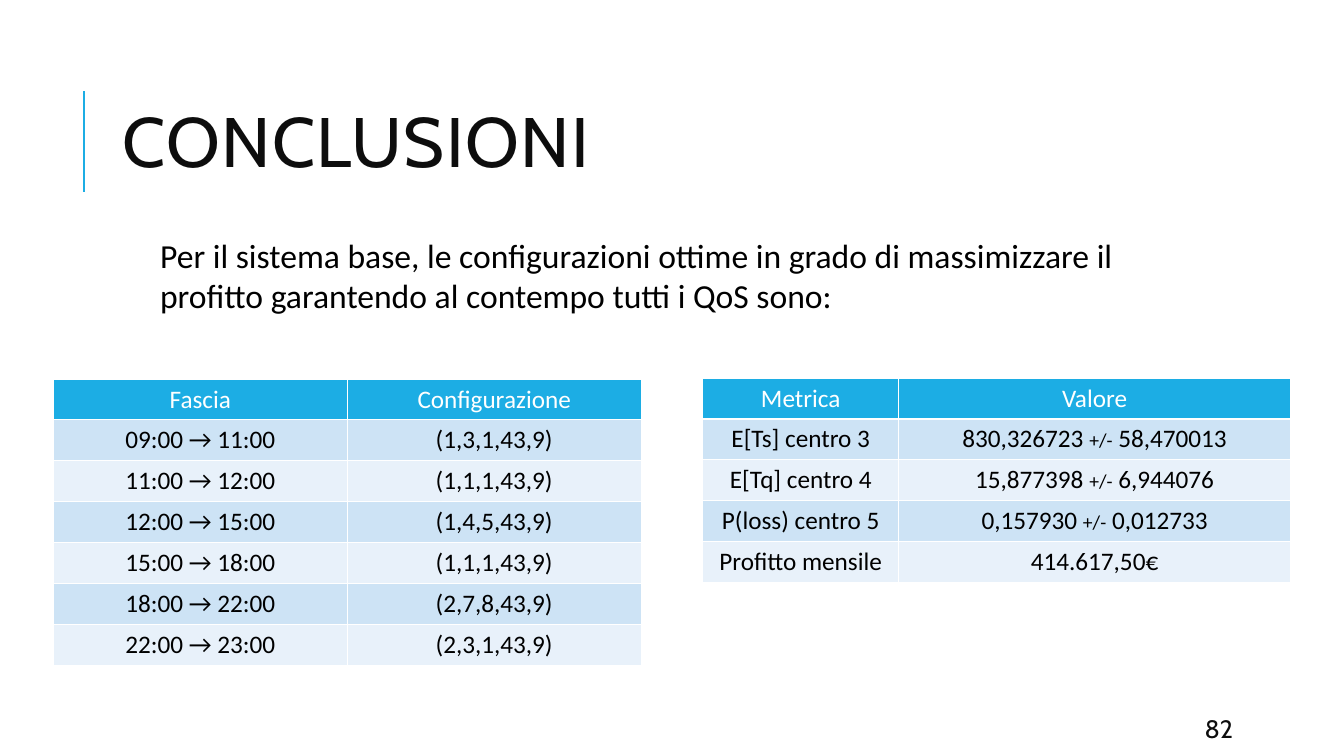
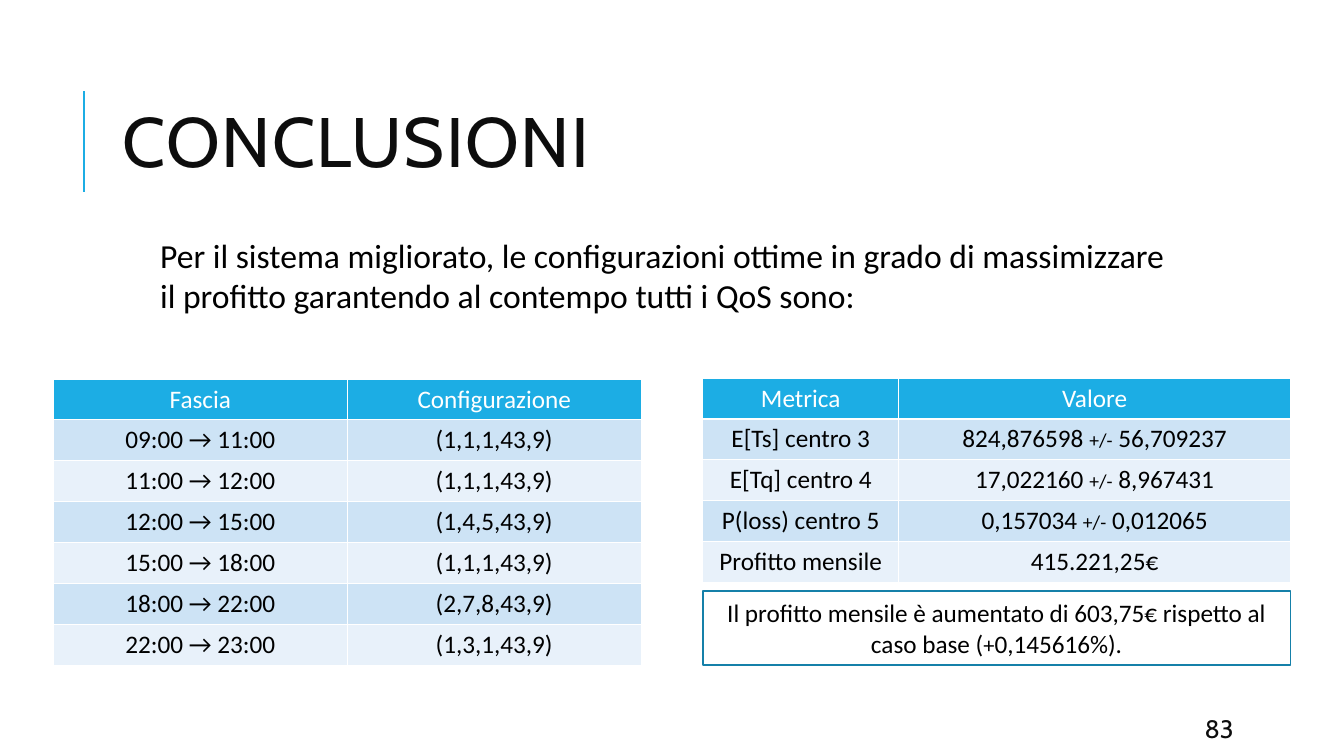
import lxml.etree
import pptx
import pptx.dml.color
import pptx.enum.shapes
import pptx.enum.text
import pptx.oxml.ns
import pptx.util

Inches = pptx.util.Inches
Pt = pptx.util.Pt
ALIGN = pptx.enum.text.PP_ALIGN
ANCHOR = pptx.enum.text.MSO_ANCHOR
qn = pptx.oxml.ns.qn

# Shared style
BLUE, EDGE, WHITE, BLACK, INK = "1CADE4", "1580A9", "FFFFFF", "000000", "0D0D0D"
BANDS = ("CDE3F5", "E8F1FA")
BODY, HEAD = "Calibri", "Cabin"
WIDE = 5.83
RIGHT = 6.97

# Content
HOURS = ("09:00 → 11:00", "11:00 → 12:00", "12:00 → 15:00",
         "15:00 → 18:00", "18:00 → 22:00", "22:00 → 23:00")
NAMES = ("E[Ts] centro 3", "E[Tq] centro 4", "P(loss) centro 5", "Profitto mensile")
PAGES = (
    {"page": "82", "system": "base",
     "setups": ("(1,3,1,43,9)", "(1,1,1,43,9)", "(1,4,5,43,9)",
                "(1,1,1,43,9)", "(2,7,8,43,9)", "(2,3,1,43,9)"),
     "values": ("830,326723 +/- 58,470013", "15,877398 +/- 6,944076",
                "0,157930 +/- 0,012733", "414.617,50€"),
     "note": None},
    {"page": "83", "system": "migliorato",
     "setups": ("(1,1,1,43,9)", "(1,1,1,43,9)", "(1,4,5,43,9)",
                "(1,1,1,43,9)", "(2,7,8,43,9)", "(1,3,1,43,9)"),
     "values": ("824,876598 +/- 56,709237", "17,022160 +/- 8,967431",
                "0,157034 +/- 0,012065", "415.221,25€"),
     "note": "Il profitto mensile è aumentato di 603,75€ rispetto al "
             "caso base (+0,145616%)."},
)


def color(code):
    return pptx.dml.color.RGBColor.from_string(code)


def write(frame, words, size=18, font=BODY, ink=BLACK, align=ALIGN.LEFT,
          lead=None, track=None, mark="+/-", small=14):
    """Write one paragraph; the first mark in it gets the small size."""
    frame.word_wrap = True
    para = frame.paragraphs[0]
    para.alignment = align
    if lead:
        para.line_spacing = lead
    for part in words.partition(mark):
        if not part:
            continue
        run = para.add_run()
        run.text = part
        run.font.size = Pt(small if part == mark else size)
        run.font.name = font
        run.font.bold = False
        run.font.color.rgb = color(ink)
        if track:
            run.font._element.set("spc", str(track))


def label(slide, words, box, anchor=ANCHOR.TOP, **style):
    frame = slide.shapes.add_textbox(*map(Inches, box)).text_frame
    frame.vertical_anchor = anchor
    write(frame, words, **style)


def rule(slide, x, top, bottom):
    line = slide.shapes.add_connector(
        pptx.enum.shapes.MSO_CONNECTOR.STRAIGHT,
        Inches(x), Inches(bottom), Inches(x), Inches(top))
    line.line.color.rgb = color(BLUE)
    line.line.width = Pt(1.5)
    lxml.etree.SubElement(line._element.spPr, qn("a:effectLst"))


def border(cell):
    props = cell._tc.get_or_add_tcPr()
    for side in ("lnL", "lnR", "lnT", "lnB"):
        line = lxml.etree.SubElement(props, qn("a:" + side), w=str(Pt(1)))
        fill = lxml.etree.SubElement(line, qn("a:solidFill"))
        lxml.etree.SubElement(fill, qn("a:srgbClr"), val=WHITE)


def grid(slide, rows, box, shares):
    """Draw a banded table whose columns share the width in proportion."""
    left, top, width, height = box
    table = slide.shapes.add_table(
        len(rows), len(shares), *map(Inches, box)).table
    for col, share in zip(table.columns, shares):
        col.width = Inches(width * share / sum(shares))
    for i, row in enumerate(rows):
        table.rows[i].height = Inches(height / len(rows))
        for j, words in enumerate(row):
            cell = table.cell(i, j)
            border(cell)
            cell.fill.solid()
            cell.fill.fore_color.rgb = color(BANDS[(i - 1) % 2] if i else BLUE)
            write(cell.text_frame, words, align=ALIGN.CENTER,
                  ink=BLACK if i else WHITE)


def panel(slide, words, box):
    shape = slide.shapes.add_shape(
        pptx.enum.shapes.MSO_SHAPE.RECTANGLE, *map(Inches, box))
    shape.shadow.inherit = False
    shape.fill.solid()
    shape.fill.fore_color.rgb = color(WHITE)
    shape.line.color.rgb = color(EDGE)
    shape.line.width = Pt(1.25)
    shape.text_frame.vertical_anchor = ANCHOR.MIDDLE
    write(shape.text_frame, words, align=ALIGN.CENTER, mark="+", small=16)


def build(deck, data):
    slide = deck.slides.add_slide(deck.slide_layouts[6])
    # Title and page number
    rule(slide, 0.83, 0.9, 1.9)
    label(slide, "CONCLUSIONI", (1.12, 0.64, 10.63, 1.64), ANCHOR.MIDDLE,
          size=50, font=HEAD, ink=INK, lead=0.8, track=100)
    label(slide, data["page"], (11.85, 7.08, 1.06, 0.3), ANCHOR.MIDDLE,
          font=HEAD, ink=INK)
    # Introduction
    label(slide, f"Per il sistema {data['system']}, le configurazioni ottime in "
          "grado di massimizzare il profitto garantendo al contempo tutti i "
          "QoS sono:", (1.49, 2.28, 10.36, 0.91), size=24)
    # Tables
    grid(slide, [("Fascia", "Configurazione"), *zip(HOURS, data["setups"])],
         (0.53, 3.76, WIDE, 2.84), (1, 1))
    grid(slide, [("Metrica", "Valore"), *zip(NAMES, data["values"])],
         (RIGHT, 3.75, WIDE, 2.03), (1, 2))
    # Remark
    if data["note"]:
        panel(slide, data["note"], (RIGHT, 5.86, WIDE, 0.74))


def main():
    deck = pptx.Presentation()
    deck.slide_width, deck.slide_height = Inches(13.33), Inches(7.5)
    for data in PAGES:
        build(deck, data)
    deck.save("out.pptx")


if __name__ == "__main__":
    main()
